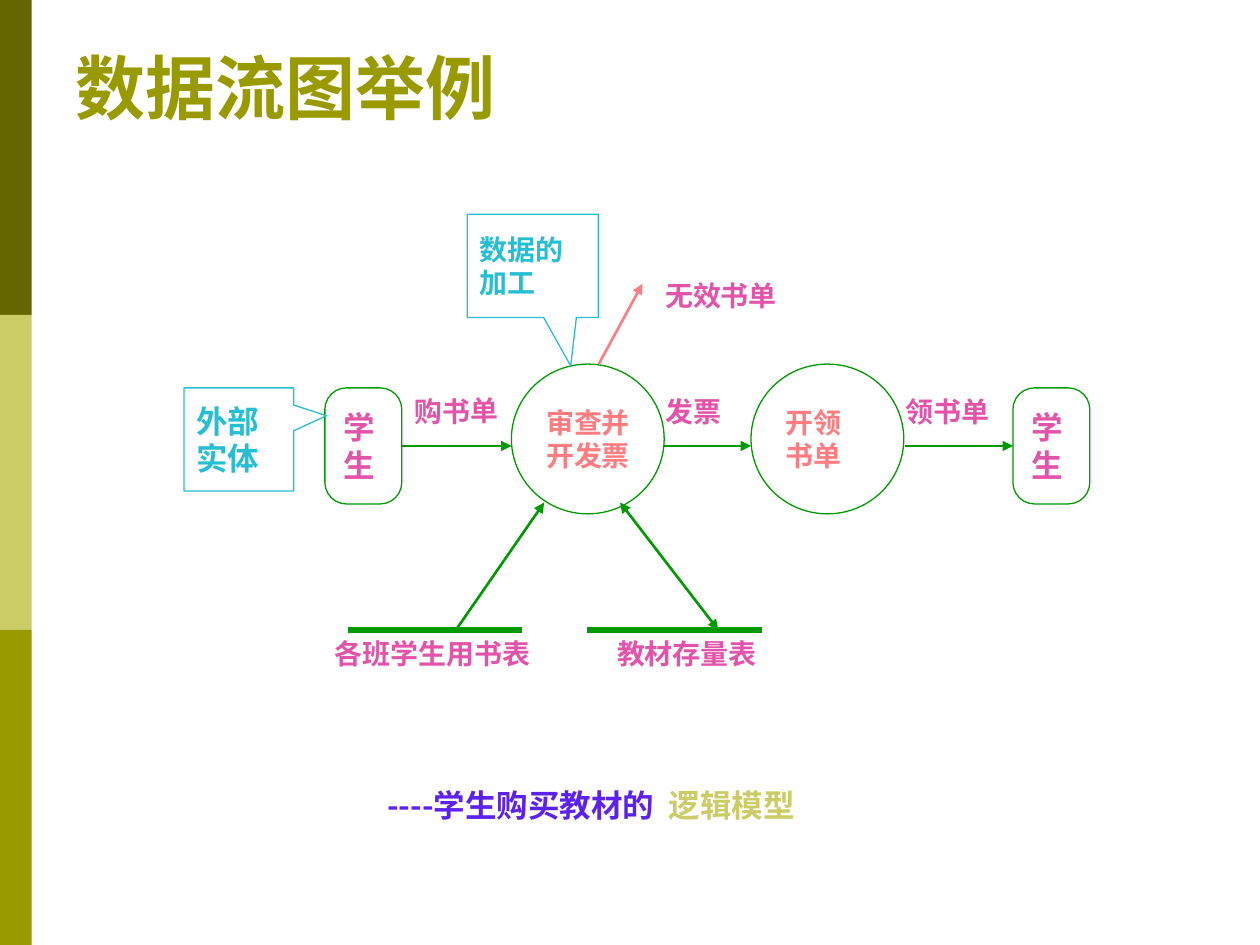
from lxml.etree import SubElement
from pptx import Presentation
from pptx.dml.color import RGBColor
from pptx.enum.shapes import MSO_CONNECTOR, MSO_SHAPE
from pptx.enum.text import MSO_ANCHOR, MSO_AUTO_SIZE, PP_ALIGN
from pptx.oxml.ns import qn
from pptx.util import Cm, Pt

GREEN, PINK, CORAL, CYAN = "009900", "E254A9", "FF7C80", "26BED2"
OLIVE, LIGHT_OLIVE, VIOLET = "999900", "CCCC66", "5C22EC"
LATIN, CHINESE = "Times New Roman", "Noto Sans CJK SC"
color = RGBColor.from_string


def format_text(shape, size, hex_color, font_name=LATIN, wrap=True):
    """Left-align the text of a shape and format every run in it."""
    shape.text_frame.word_wrap = wrap
    for paragraph in shape.text_frame.paragraphs:
        paragraph.alignment = PP_ALIGN.LEFT
        for run in paragraph.runs:
            run.font.size = Pt(size)
            run.font.bold = True
            run.font.color.rgb = color(hex_color)
            run.font.name = font_name
            SubElement(run.font._element, qn("a:ea"), typeface=CHINESE)


def add_shape(kind, left, top, width, height, fill=None, line=None):
    shape = slide.shapes.add_shape(kind, Cm(left), Cm(top), Cm(width), Cm(height))
    shape.shadow.inherit = False
    if fill:
        shape.fill.solid()
        shape.fill.fore_color.rgb = color(fill)
    else:
        shape.fill.background()
    if line:
        shape.line.color.rgb = color(line)
        shape.line.width = Pt(0.75)
    else:
        shape.line.fill.background()
    shape.text_frame.vertical_anchor = MSO_ANCHOR.MIDDLE
    return shape


presentation = Presentation()
presentation.slide_width, presentation.slide_height = Cm(25.4), Cm(19.05)
slide = presentation.slides.add_slide(presentation.slide_layouts[5])

# Side bar
for index, fill in enumerate(["666600", LIGHT_OLIVE, OLIVE]):
    add_shape(MSO_SHAPE.RECTANGLE, 0, index * 6.35, 0.64, 6.35, fill=fill)

# Title
title = slide.shapes.title
title.left, title.top, title.width, title.height = Cm(1.27), Cm(0.76), Cm(22.86), Cm(1.96)
title.text_frame.text = "数据流图举例"
title.text_frame.auto_size = MSO_AUTO_SIZE.NONE
title.text_frame.vertical_anchor = MSO_ANCHOR.BOTTOM
format_text(title, 40, OLIVE)

# Processes
for left, text in [(10.31, "审查并\n开发票"), (15.14, "开领\n书单")]:
    process = add_shape(MSO_SHAPE.OVAL, left, 7.34, 3.08, 3.02, line=GREEN)
    process.text_frame.text = text
    format_text(process, 16, CORAL, wrap=False)

# External entities
for left in (6.55, 20.42):
    entity = add_shape(MSO_SHAPE.ROUNDED_RECTANGLE, left, 7.82, 1.55, 2.34, line=GREEN)
    entity.adjustments[0] = 0.28
    entity.text_frame.text = "学\n生"
    format_text(entity, 18, PINK, wrap=False)

# Callouts
callouts = [
    (3.71, 7.82, 2.21, (0.8, -0.23), 18, "外部\n实体"),
    (9.42, 4.32, 2.64, (0.29, 0.97), 16, "数据的\n加工"),
]
for left, top, width, tip, size, text in callouts:
    callout = add_shape(MSO_SHAPE.RECTANGULAR_CALLOUT, left, top, width, 2.08, line=CYAN)
    callout.adjustments[0], callout.adjustments[1] = tip
    callout.text_frame.text = text
    format_text(callout, size, CYAN)

# Data flows and data stores: start, end, colour, width, arrowheads
lines = [
    (8.1, 8.99, 10.31, 8.99, GREEN, 1.5, ["tailEnd"]),
    (13.39, 8.99, 15.14, 8.99, GREEN, 1.5, ["tailEnd"]),
    (18.24, 8.99, 20.42, 8.99, GREEN, 1.5, ["tailEnd"]),
    (9.19, 12.7, 10.97, 10.13, GREEN, 1.5, ["tailEnd"]),
    (14.48, 12.7, 12.5, 10.13, GREEN, 1.5, ["headEnd", "tailEnd"]),
    (12.07, 7.34, 12.95, 5.72, CORAL, 1.5, ["tailEnd"]),
    (7.01, 12.7, 10.52, 12.7, GREEN, 3, []),
    (11.84, 12.7, 15.37, 12.7, GREEN, 3, []),
]
for x1, y1, x2, y2, line_color, width, arrowheads in lines:
    connector = slide.shapes.add_connector(
        MSO_CONNECTOR.STRAIGHT, Cm(x1), Cm(y1), Cm(x2), Cm(y2))
    connector.line.color.rgb = color(line_color)
    connector.line.width = Pt(width)
    for end in arrowheads:
        SubElement(connector.line._get_or_add_ln(), qn(f"a:{end}"), type="triangle")
    SubElement(connector._element.spPr, qn("a:effectLst"))

# Labels of flows and stores
labels = [
    (8.1, 7.82, 2.44, -0.8, "购书单"),
    (13.16, 7.82, 1.98, 0, "发票"),
    (18.01, 7.82, 2.64, 0, "领书单"),
    (13.16, 5.49, 3.07, 0, "无效书单"),
    (6.5, 12.7, 5.51, 0, "各班学生用书表"),
    (12.19, 12.7, 5.51, 0, "教材存量表"),
]
for left, top, width, rotation, text in labels:
    label = slide.shapes.add_textbox(Cm(left), Cm(top), Cm(width), Cm(1.02))
    label.rotation = rotation
    label.text_frame.text = text
    format_text(label, 16, PINK)

# Caption
caption = add_shape(MSO_SHAPE.ROUNDED_RECTANGLE, 7.14, 15.52, 11.66, 1.4, fill="FFFFFF")
caption.adjustments[0] = 0.31
caption.text_frame.margin_left = Cm(0.54)
caption.text_frame.text = "----学生购买教材的 "
model_run = caption.text_frame.paragraphs[0].add_run()
model_run.text = " 逻辑模型"
format_text(caption, 18, VIOLET, CHINESE, wrap=False)
model_run.font.color.rgb = color(LIGHT_OLIVE)

presentation.save("out.pptx")
